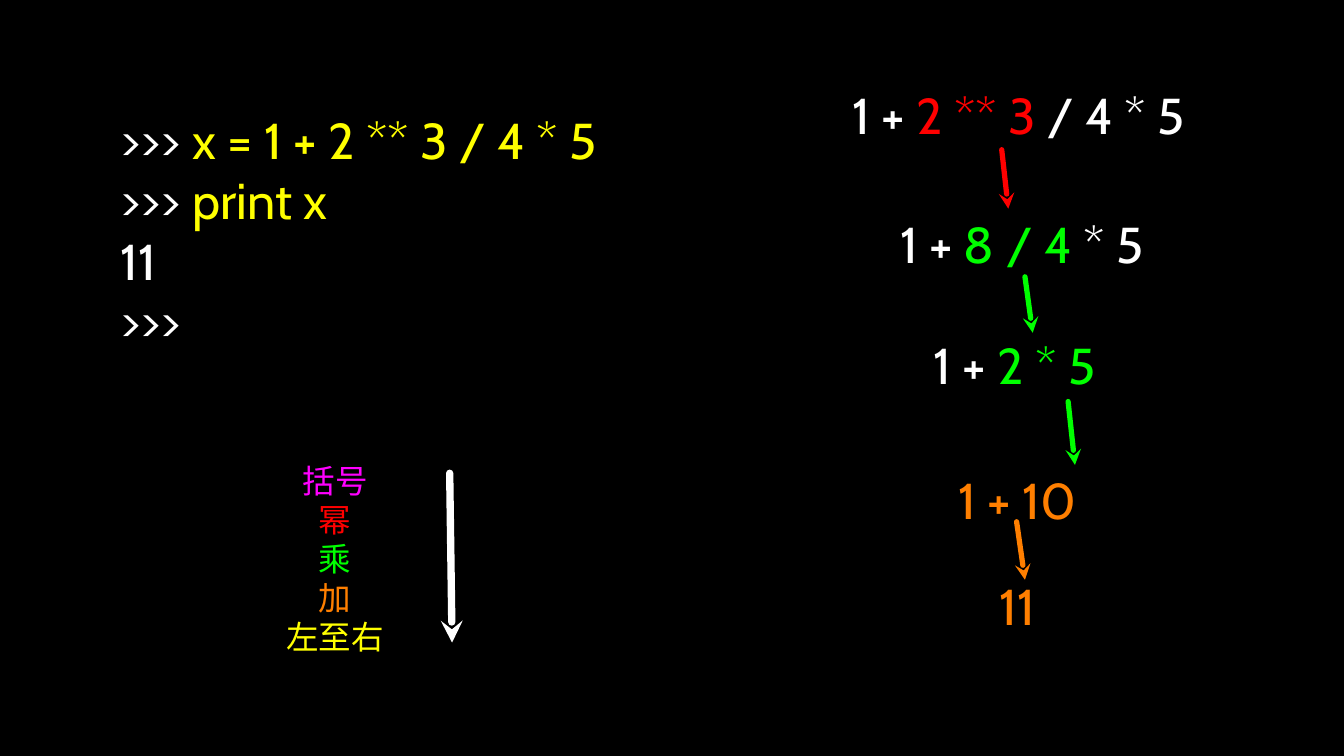
from dataclasses import dataclass

from lxml.etree import SubElement
from pptx import Presentation
from pptx.dml.color import RGBColor
from pptx.enum.shapes import MSO_CONNECTOR as Connector
from pptx.enum.text import MSO_ANCHOR as Anchor, PP_ALIGN as Align
from pptx.oxml.ns import qn
from pptx.util import Cm, Pt


@dataclass(frozen=True)
class Theme:
    """Colours, fonts and sizes of the slide."""
    black: str = "000000"
    white: str = "FFFFFF"
    yellow: str = "FFFF00"
    magenta: str = "FF00FF"
    red: str = "FF0000"
    green: str = "00FF00"
    orange: str = "FF7F00"
    code_font: str = "Cabin"
    rule_font: str = "Arial"
    code_size: int = 48
    rule_size: int = 31
    step_line: int = 5
    order_line: int = 7


THEME = Theme()
CODE = (THEME.code_font, THEME.code_size, Align.LEFT)
RULE = (THEME.rule_font, THEME.rule_size, Align.CENTER)

# Each paragraph is a list of (text, colour name) spans.
SESSION = [
    [(">>> ", "white"), ("x = 1 + 2 ** 3 / 4 * 5", "yellow")],
    [(">>> ", "white"), ("print x", "yellow")],
    [("11", "white")],
    [(">>>", "white")],
]
PRECEDENCE = [
    [("括号", "magenta")],
    [("幂", "red")],
    [("乘", "green")],
    [("加", "orange")],
    [("左至右", "yellow")],
]
# Evaluation steps: top, width, spans
STEPS = [
    (2.74, 11.89, [("1 + ", "white"), ("2 ** 3", "red"), (" / 4 * 5", "white")]),
    (7.06, 8.69, [("1 + ", "white"), ("8 / 4", "green"), (" * 5", "white")]),
    (11.13, 6.43, [("1 + ", "white"), ("2 * 5", "green")]),
    (15.67, 4.78, [("1 + 10", "orange")]),
    (19.25, 2.01, [("11", "orange")]),
]
# Arrows between steps: start, tip, colour name
STEP_ARROWS = [
    ((33.66, 5.03), (33.88, 7.01), "red"),
    ((34.44, 9.3), (34.7, 11.18), "green"),
    ((35.89, 13.49), (36.12, 15.62), "green"),
    ((34.16, 17.53), (34.44, 19.48), "orange"),
]
SLIDE_SIZE = (45.16, 25.4)
STEP_CENTRE, STEP_HEIGHT = 34.59, 2.21
SESSION_BOX = (4.04, 3.63, 17.96, 8.2)
PRECEDENCE_BOX = (9.6, 15.44, 3.32, 6.63)
ORDER_ARROW = ((15.11, 15.9), (15.19, 21.59))


def colour(name):
    """Return the theme colour of that name."""
    return RGBColor.from_string(getattr(THEME, name))


def apply(target, values):
    """Set attributes from a dict of format values."""
    for name, value in values.items():
        setattr(target, name, value)


def add_text(shapes, place, lines, style):
    """Add a text box with one paragraph per line of coloured spans."""
    font, size, align = style
    frame = shapes.add_textbox(*map(Cm, place)).text_frame
    apply(frame, dict(word_wrap=True, vertical_anchor=Anchor.MIDDLE, margin_left=0,
                      margin_right=0, margin_top=0, margin_bottom=0))
    for index, spans in enumerate(lines):
        para = frame.add_paragraph() if index else frame.paragraphs[0]
        para.alignment = align
        for text, name in spans:
            span = para.add_run()
            span.text = text
            apply(span.font, dict(name=font, size=Pt(size)))
            span.font.color.rgb = colour(name)


def add_arrow(shapes, start, tip, name, width):
    """Add a round-capped line with a stealth arrowhead at its tip."""
    arrow = shapes.add_connector(Connector.STRAIGHT, *map(Cm, start + tip))
    arrow.line.width = Pt(width)
    arrow.line.color.rgb = colour(name)
    line = arrow.line._get_or_add_ln()
    line.set("cap", "rnd")
    SubElement(line, qn("a:round"))
    SubElement(line, qn("a:tailEnd"), type="stealth")
    SubElement(arrow._element.spPr, qn("a:effectLst"))


def build():
    """Build and save the slide."""
    deck = Presentation()
    apply(deck, dict(zip(("slide_width", "slide_height"), map(Cm, SLIDE_SIZE))))
    page = deck.slides.add_slide(deck.slide_layouts[6])
    page.background.fill.solid()
    page.background.fill.fore_color.rgb = colour("black")

    order = page.shapes.add_group_shape().shapes
    add_text(order, PRECEDENCE_BOX, PRECEDENCE, RULE)
    add_arrow(order, *ORDER_ARROW, "white", THEME.order_line)

    for top, width, spans in STEPS:
        place = (STEP_CENTRE - width / 2, top, width, STEP_HEIGHT)
        add_text(page.shapes, place, [spans], CODE)
    for start, tip, name in STEP_ARROWS:
        add_arrow(page.shapes, start, tip, name, THEME.step_line)
    add_text(page.shapes, SESSION_BOX, SESSION, CODE)
    deck.save("out.pptx")


build()
